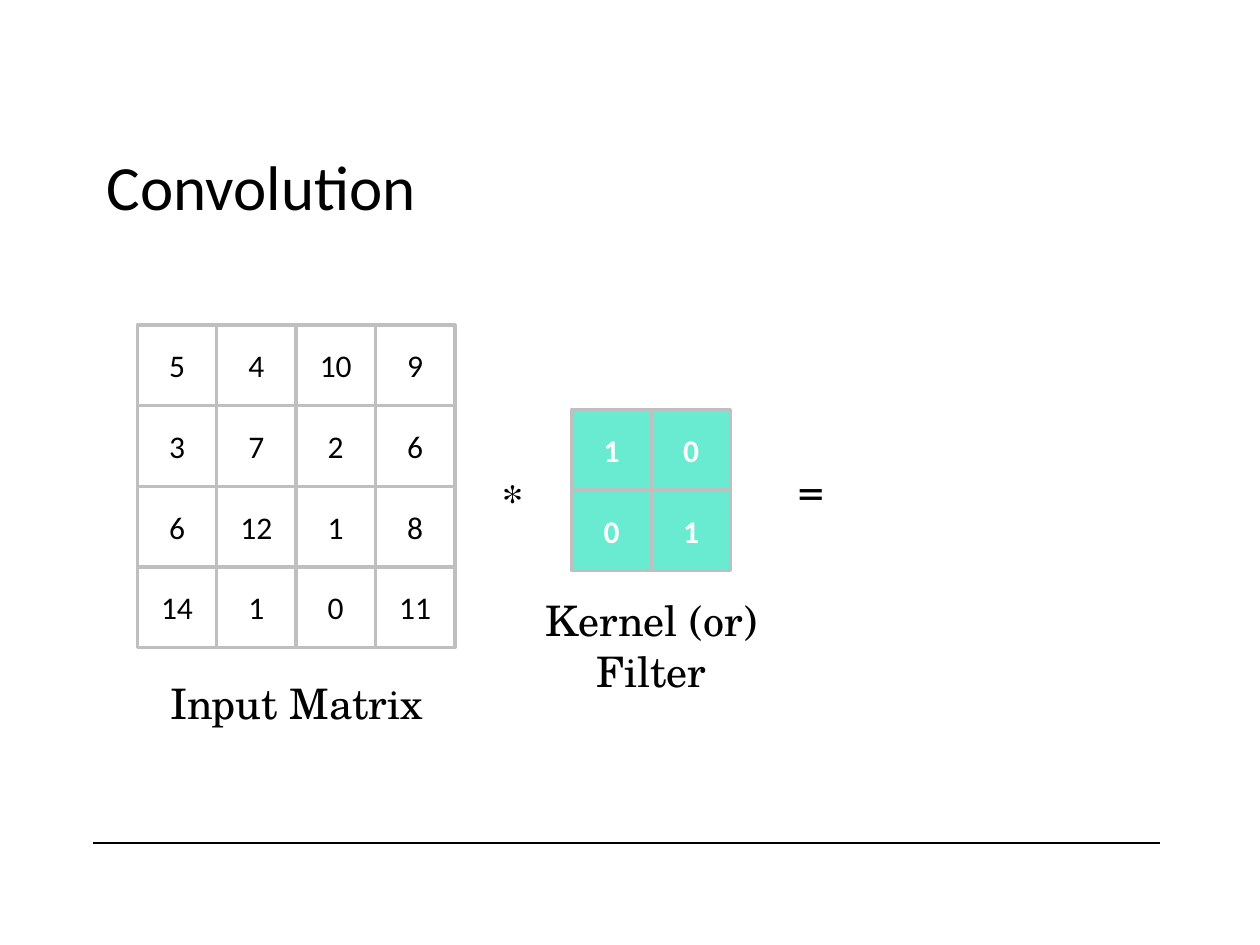
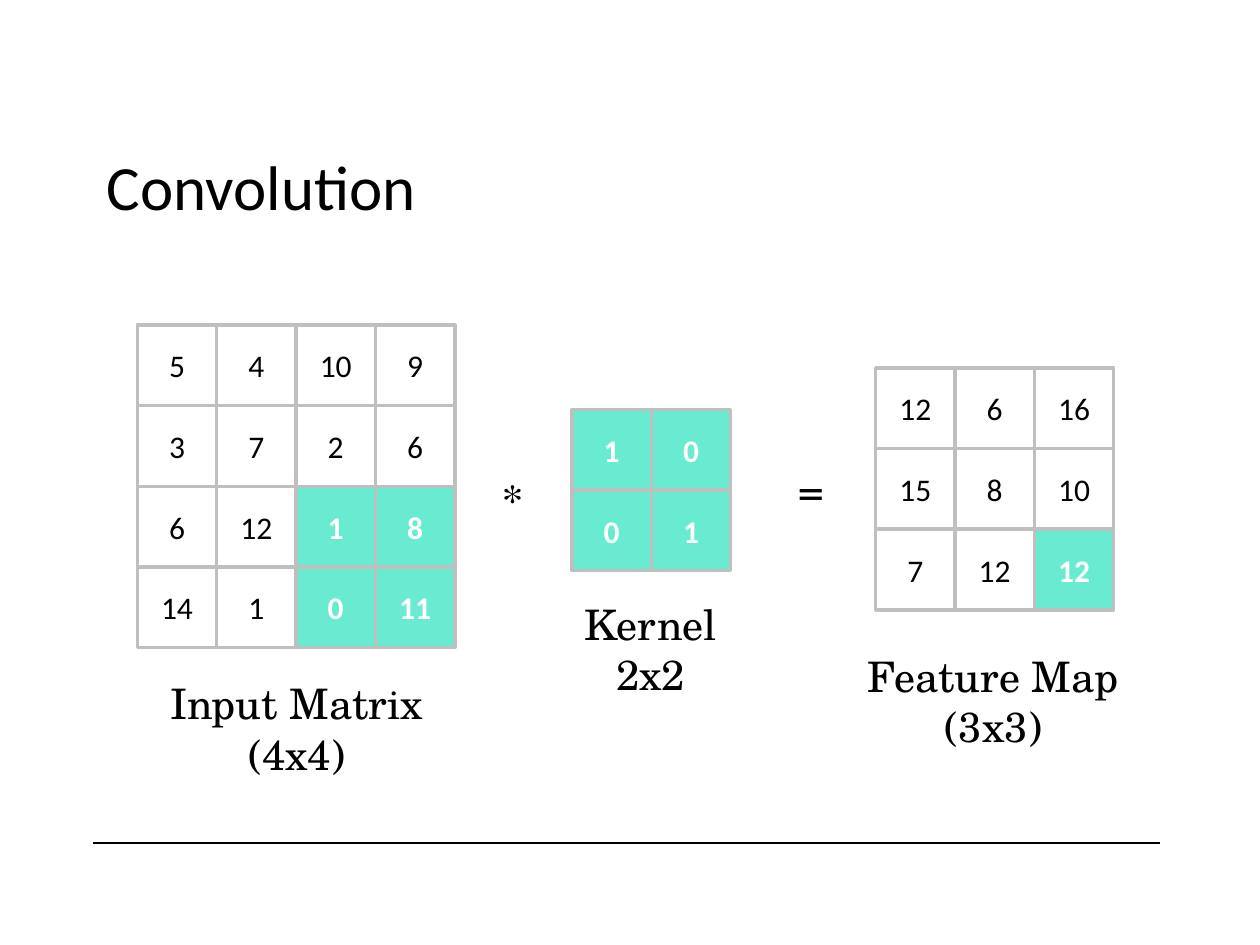
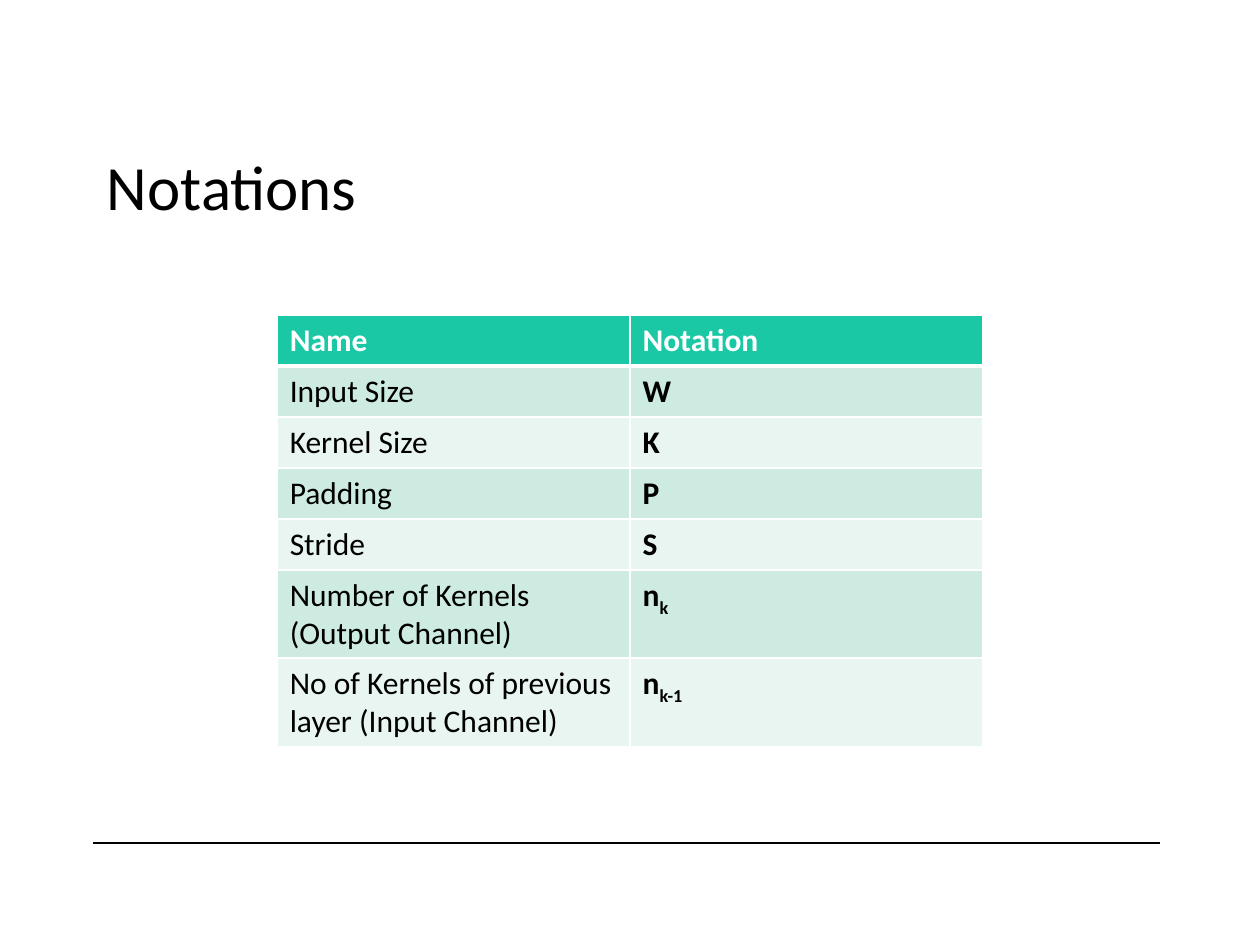
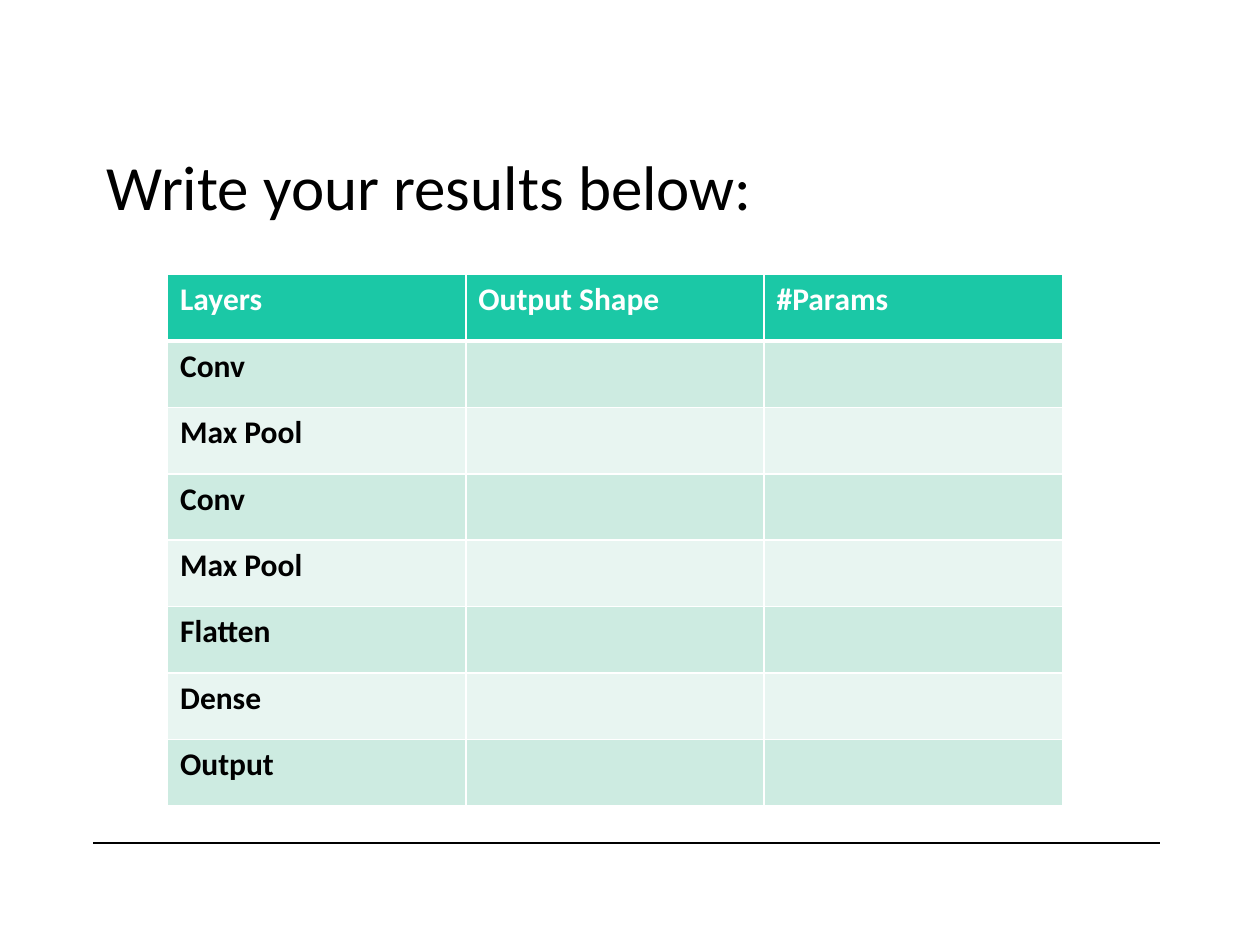
import lxml.etree
import pptx
import pptx.dml.color
import pptx.enum.shapes
import pptx.enum.text
import pptx.oxml.ns
import pptx.util

RGBColor = pptx.dml.color.RGBColor
BLACK = RGBColor(0x00, 0x00, 0x00)
WHITE = RGBColor(0xFF, 0xFF, 0xFF)
GREY = RGBColor(0xBF, 0xBF, 0xBF)
MINT = RGBColor(0x69, 0xEB, 0xD1)
TEAL = RGBColor(0x1B, 0xC8, 0xA6)
BANDS = (RGBColor(0xCD, 0xEB, 0xE1), RGBColor(0xE8, 0xF5, 0xF1))

GRID_COLUMNS, GRID_ROWS = 100, 75
CELL_WIDTH, CELL_HEIGHT = 6.3, 6.4

TITLE = {"name": "Calibri", "size": pptx.util.Pt(36)}
BODY = {"name": "Calibri", "size": pptx.util.Pt(18), "bold": False}
STRONG = {**BODY, "bold": True}
LABEL = {"name": "TeX Gyre Schola", "size": pptx.util.Pt(24)}

LEFT = pptx.enum.text.PP_ALIGN.LEFT
CENTER = pptx.enum.text.PP_ALIGN.CENTER

INPUT = [[5, 4, 10, 9], [3, 7, 2, 6], [6, 12, 1, 8], [14, 1, 0, 11]]
KERNEL = [[1, 0], [0, 1]]
FEATURES = [[12, 6, 16], [15, 8, 10], [7, 12, 12]]
WINDOW = {(2, 2), (2, 3), (3, 2), (3, 3)}
WHOLE_KERNEL = {(0, 0), (0, 1), (1, 0), (1, 1)}

NOTATIONS = [
    ("Name", "Notation"),
    ("Input Size", "W"),
    ("Kernel Size", "K"),
    ("Padding", "P"),
    ("Stride", "S"),
    ("Number of Kernels\n(Output Channel)", "n_k"),
    ("No of Kernels of previous layer (Input Channel)", "n_k-1"),
]
LAYERS = ["Conv", "Max Pool", "Conv", "Max Pool", "Flatten", "Dense", "Output"]
RESULTS = [("Layers", "Output Shape", "#Params")] + [(layer, "", "") for layer in LAYERS]


class Builder:
    """Draws styled elements on the current slide of a deck."""

    def __init__(self):
        self.deck = pptx.Presentation()
        self.deck.slide_width = pptx.util.Inches(10)
        self.deck.slide_height = pptx.util.Inches(7.5)
        self.page = None

    def across(self, columns):
        return round(self.deck.slide_width * columns / GRID_COLUMNS)

    def down(self, rows):
        return round(self.deck.slide_height * rows / GRID_ROWS)

    def place(self, left, top, width, height):
        return self.across(left), self.down(top), self.across(width), self.down(height)

    def start(self, title):
        self.page = self.deck.slides.add_slide(self.deck.slide_layouts[6])
        self.rule(7.4, 92.1, 66.9)
        frame = self.text(title, (7.5, 10.9, 84.6, 9.1), TITLE, LEFT)
        frame.margin_top = pptx.util.Inches(0.08)

    def rule(self, start, end, top):
        line = self.page.shapes.add_connector(
            pptx.enum.shapes.MSO_CONNECTOR.STRAIGHT,
            self.across(start), self.down(top), self.across(end), self.down(top))
        line.line.color.rgb = BLACK
        line.line.width = pptx.util.Pt(0.75)
        properties = line.element.find(pptx.oxml.ns.qn("p:spPr"))
        lxml.etree.SubElement(properties, pptx.oxml.ns.qn("a:effectLst"))

    def set_words(self, frame, words, style, color=BLACK, align=LEFT):
        for number, line in enumerate(words.split("\n")):
            para = frame.add_paragraph() if number else frame.paragraphs[0]
            para.alignment = align
            for level, part in enumerate(line.split("_")):
                span = para.add_run()
                span.text = part
                for key, value in style.items():
                    setattr(span.font, key, value)
                span.font.color.rgb = color
                if level:
                    span.font._element.set("baseline", "-25000")

    def text(self, words, area, style=LABEL, align=CENTER):
        frame = self.page.shapes.add_textbox(*self.place(*area)).text_frame
        frame.word_wrap = True
        self.set_words(frame, words, style, align=align)
        return frame

    def square(self, value, left, top, marked):
        box = self.page.shapes.add_shape(
            pptx.enum.shapes.MSO_SHAPE.RECTANGLE,
            *self.place(left, top, CELL_WIDTH, CELL_HEIGHT))
        box.shadow.inherit = False
        box.fill.solid()
        box.fill.fore_color.rgb = MINT if marked else WHITE
        box.line.color.rgb = GREY
        box.line.width = pptx.util.Pt(2)
        box.text_frame.vertical_anchor = pptx.enum.text.MSO_ANCHOR.MIDDLE
        style, color = (STRONG, WHITE) if marked else (BODY, BLACK)
        self.set_words(box.text_frame, str(value), style, color, CENTER)

    def matrix(self, values, left, top, marked=frozenset()):
        for row, line in enumerate(values):
            for column, value in enumerate(line):
                self.square(value, left + column * CELL_WIDTH, top + row * CELL_HEIGHT,
                            (row, column) in marked)

    def border(self, cell, side, points):
        properties = cell._tc.get_or_add_tcPr()
        line = lxml.etree.SubElement(properties, pptx.oxml.ns.qn("a:ln" + side),
                                     w=str(pptx.util.Pt(points)))
        fill = lxml.etree.SubElement(line, pptx.oxml.ns.qn("a:solidFill"))
        lxml.etree.SubElement(fill, pptx.oxml.ns.qn("a:srgbClr"), val=str(WHITE))

    def table(self, rows, left, top, column_width, row_height, strong_column):
        area = self.place(left, top, column_width * len(rows[0]), row_height * len(rows))
        grid = self.page.shapes.add_table(len(rows), len(rows[0]), *area).table
        for row, line in enumerate(rows):
            grid.rows[row].height = self.down(row_height)
            for column, words in enumerate(line):
                cell = grid.cell(row, column)
                for side in "LRTB":
                    heavy = (row, side) in ((0, "B"), (1, "T"))
                    self.border(cell, side, 3 if heavy else 1)
                cell.fill.solid()
                cell.fill.fore_color.rgb = BANDS[(row - 1) % 2] if row else TEAL
                if words:
                    strong = row == 0 or column == strong_column
                    self.set_words(cell.text_frame, words, STRONG if strong else BODY,
                                   BLACK if row else WHITE)

    def convolution(self, marked=frozenset()):
        self.start("Convolution")
        self.matrix(INPUT, 10.9, 25.8, marked)
        self.text("*", (37.6, 37.2, 6.2, 5))
        self.text("=", (61.3, 36.3, 6.2, 5))
        self.matrix(KERNEL, 45.4, 32.5, WHOLE_KERNEL)


def main():
    builder = Builder()

    builder.convolution()
    builder.text("Input Matrix", (11.7, 53.3, 23.7, 5))
    builder.text("Kernel (or) Filter", (41.8, 46.7, 19.8, 13.1))

    builder.convolution(WINDOW)
    builder.text("Input Matrix\n(4x4)", (11.7, 53.3, 23.7, 9.1))
    builder.text("Kernel\n2x2", (39.8, 47, 23.7, 9.1))
    builder.matrix(FEATURES, 69.5, 29.2, {(2, 2)})
    builder.text("Feature Map\n(3x3)", (67, 51.1, 23.7, 9.1))

    builder.start("Notations")
    builder.table(NOTATIONS, 22, 25, 28, 4.05, strong_column=1)

    builder.start("Write your results below:")
    builder.table(RESULTS, 13.3, 21.8, 23.67, 5.27, strong_column=0)

    builder.deck.save("out.pptx")


if __name__ == "__main__":
    main()
